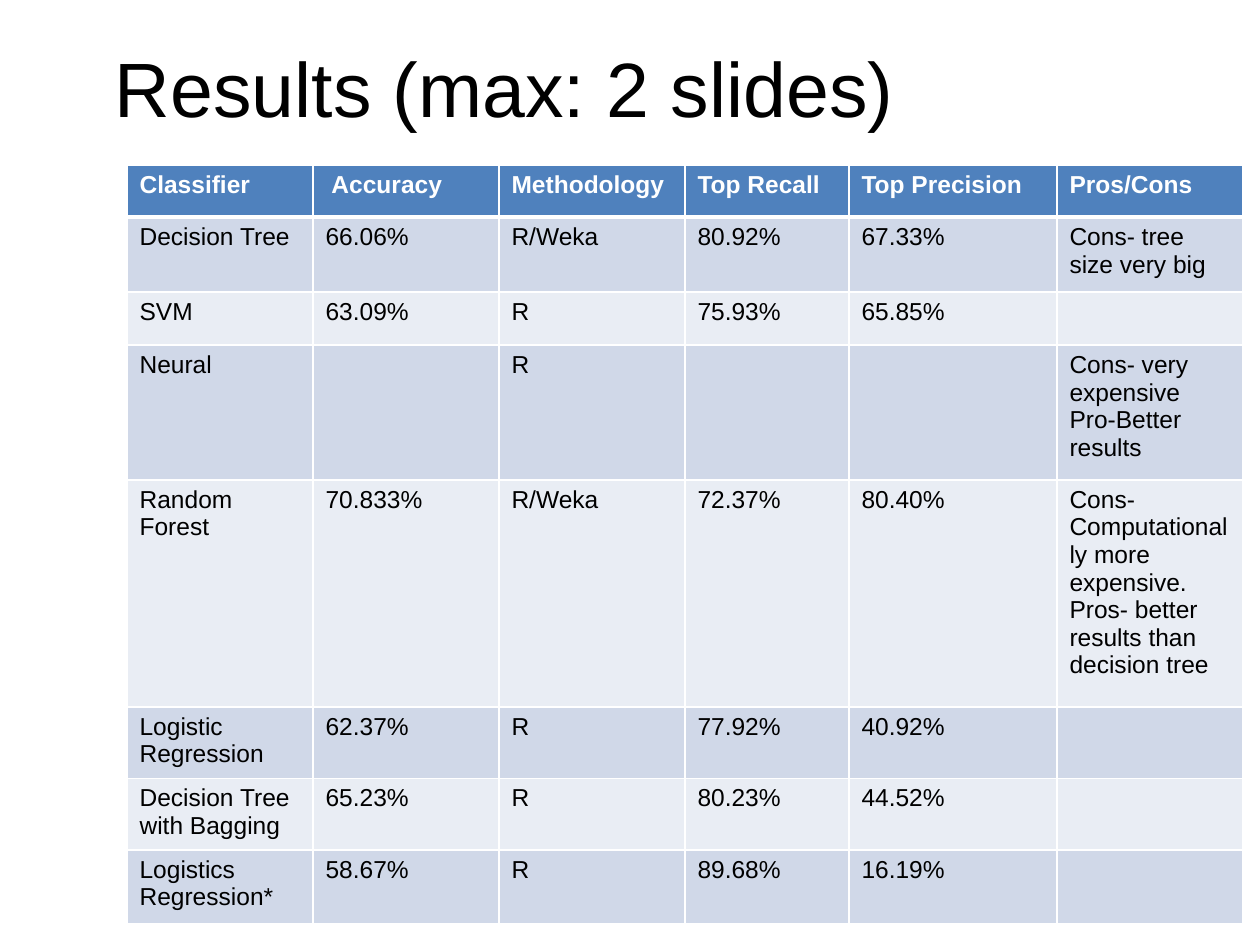
from dataclasses import dataclass

from lxml import etree
from pptx import Presentation
from pptx.dml.color import RGBColor
from pptx.enum.text import MSO_ANCHOR
from pptx.oxml.ns import qn
from pptx.util import Pt

MIDDLE = MSO_ANCHOR.MIDDLE
SCALE = 914400 / 126


@dataclass(frozen=True)
class Theme:
    font: str = "Arial"
    title: int = 44
    body: int = 14
    ink: str = "000000"
    paper: str = "FFFFFF"
    head: str = "4F81BD"
    bands: tuple = ("D0D8E8", "E9EDF4")
    thin: int = 1
    thick: int = 3


THEME = Theme()
COLS = [186, 186, 186, 164, 208, 186]
ROWS = [
    (52, ["Classifier", " Accuracy", "Methodology", "Top Recall",
          "Top Precision", "Pros/Cons"]),
    (75, ["Decision Tree", "66.06%", "R/Weka", "80.92%", "67.33%",
          "Cons- tree size very big"]),
    (53, ["SVM", "63.09%", "R", "75.93%", "65.85%", ""]),
    (135, ["Neural", "", "R", "", "",
           "Cons- very expensive\nPro-Better results"]),
    (227, ["Random Forest", "70.833%", "R/Weka", "72.37%", "80.40%",
           "Cons- Computationally more expensive.\n"
           "Pros- better results than decision tree"]),
    (68, ["Logistic Regression", "62.37%", "R", "77.92%", "40.92%", ""]),
    (67, ["Decision Tree with Bagging", "65.23%", "R", "80.23%", "44.52%", ""]),
    (74, ["Logistics Regression*", "58.67%", "R", "89.68%", "16.19%", ""]),
]


def px(size):
    return round(size * SCALE)


def style(frame, size, color, bold=False):
    for para in frame.paragraphs:
        for run in para.runs:
            font = run.font
            font.name, font.size, font.bold = THEME.font, Pt(size), bold
            font.color.rgb = RGBColor.from_string(color)


def add_title(slide, box, text):
    frame = slide.shapes.add_textbox(*map(px, box)).text_frame
    frame.word_wrap = True
    frame.vertical_anchor = MIDDLE
    frame.margin_left = frame.margin_right = px(13)
    frame.margin_top = frame.margin_bottom = px(13)
    frame.text = text
    style(frame, THEME.title, THEME.ink)


def set_edges(cell, widths):
    """Draw the cell borders; they must come before the fill in the XML."""
    props = cell._tc.get_or_add_tcPr()
    for spot, (side, width) in enumerate(widths.items()):
        line = etree.Element(qn(f"a:ln{side}"), w=str(Pt(width)))
        fill = etree.SubElement(line, qn("a:solidFill"))
        etree.SubElement(fill, qn("a:srgbClr"), val=THEME.paper)
        props.insert(spot, line)


def fill_cell(cell, text, row):
    head = row == 0
    color = THEME.head if head else THEME.bands[(row - 1) % 2]
    cell.text_frame.text = text
    style(cell.text_frame, THEME.body, THEME.paper if head else THEME.ink, head)
    cell.fill.solid()
    cell.fill.fore_color.rgb = RGBColor.from_string(color)
    widths = dict.fromkeys("LRTB", THEME.thin)
    if head:
        widths["B"] = THEME.thick
    elif row == 1:
        widths["T"] = THEME.thick
    set_edges(cell, widths)


def add_results(slide, left, top, cols, rows):
    width, height = sum(cols), sum(high for high, _ in rows)
    box = map(px, (left, top, width, height))
    table = slide.shapes.add_table(len(rows), len(cols), *box).table
    for col, wide in zip(table.columns, cols):
        col.width = px(wide)
    for row, (high, texts) in enumerate(rows):
        table.rows[row].height = px(high)
        for col, text in enumerate(texts):
            fill_cell(table.cell(row, col), text, row)


def main():
    deck = Presentation()
    deck.slide_width, deck.slide_height = px(1260), px(945)
    slide = deck.slides.add_slide(deck.slide_layouts[6])
    add_title(slide, (102, 8, 1041, 158), "Results (max: 2 slides)")
    add_results(slide, 127, 165, COLS, ROWS)
    deck.save("out.pptx")


if __name__ == "__main__":
    main()
